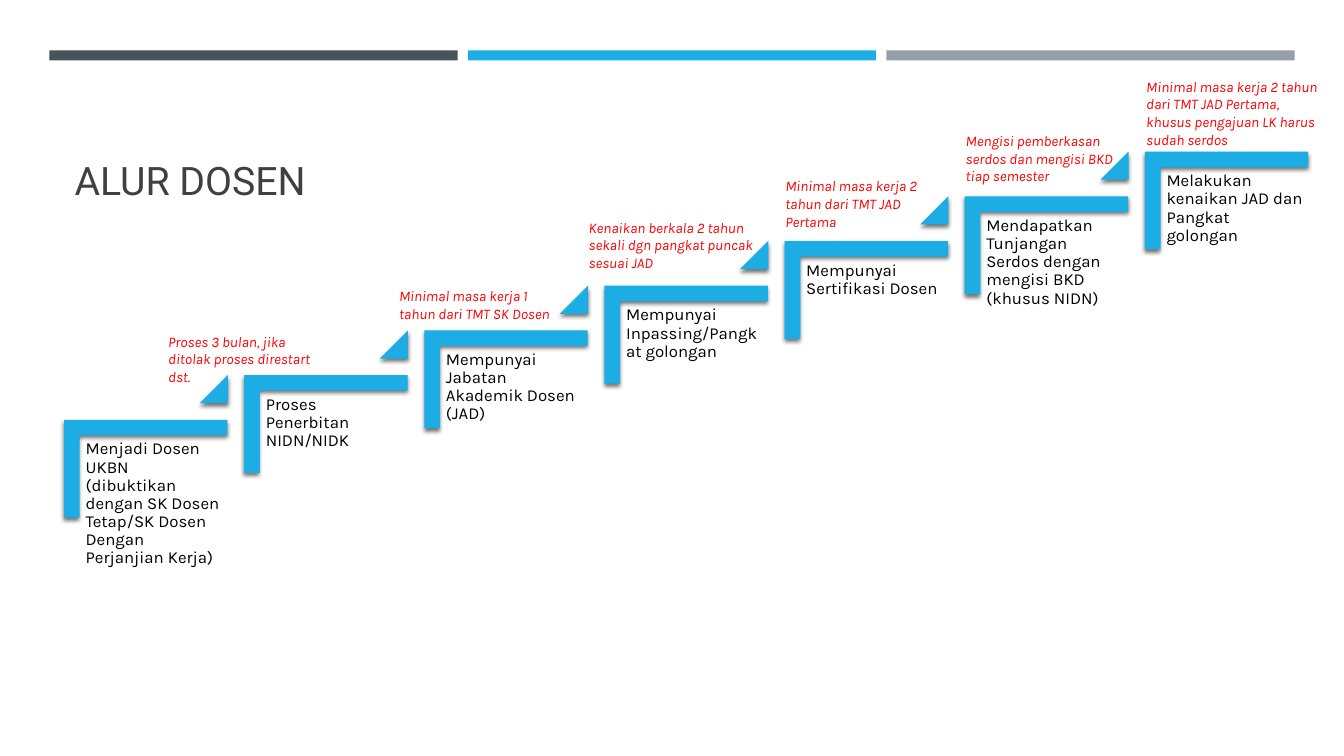
import pptx
import pptx.dml.color
import pptx.enum.shapes
import pptx.enum.text
import pptx.oxml
import pptx.oxml.ns
import pptx.util

Inches = pptx.util.Inches
SHAPE = pptx.enum.shapes.MSO_SHAPE
ANCHOR = pptx.enum.text.MSO_ANCHOR

COLORS = {
    "slate": "465359",
    "blue": "1CADE4",
    "gray": "969FA7",
    "title": "404040",
    "text": "000000",
    "note": "FF0000",
}

SHADOW_XML = (
    f'<a:effectLst {pptx.oxml.ns.nsdecls("a")}>'
    '<a:outerShdw blurRad="38100" dist="25400" dir="5400000" rotWithShape="0">'
    '<a:srgbClr val="000000"><a:alpha val="55000"/></a:srgbClr>'
    '</a:outerShdw></a:effectLst>'
)

STEPS = [
    "Menjadi Dosen UKBN (dibuktikan dengan SK Dosen Tetap/SK Dosen Dengan Perjanjian Kerja)",
    "Proses Penerbitan NIDN/NIDK",
    "Mempunyai Jabatan Akademik Dosen (JAD)",
    "Mempunyai Inpassing/Pangkat golongan",
    "Mempunyai Sertifikasi Dosen",
    "Mendapatkan Tunjangan Serdos dengan mengisi BKD (khusus NIDN)",
    "Melakukan kenaikan JAD dan Pangkat golongan",
]

# Left, top, width, height, wording
NOTES = [
    (1.57, 3.25, 1.67, 0.63, "Proses 3 bulan, jika ditolak proses direstart dst."),
    (3.86, 2.8, 1.86, 0.45, "Minimal masa kerja 1 tahun dari TMT SK Dosen"),
    (5.74, 2.12, 1.86, 0.63, "Kenaikan berkala 2 tahun sekali dgn pangkat puncak sesuai JAD"),
    (7.69, 1.71, 1.86, 0.63, "Minimal masa kerja 2 tahun dari TMT JAD Pertama"),
    (9.48, 1.26, 1.86, 0.63, "Mengisi pemberkasan serdos dan mengisi BKD tiap semester"),
    (11.27, 0.72, 1.95, 0.81,
     "Minimal masa kerja 2 tahun dari TMT JAD Pertama, khusus pengajuan LK harus sudah serdos"),
]


class SlideBuilder:
    def __init__(self, page):
        self.page = page
        self.title_font = "Roboto"
        self.body_font = "Karla"

    def color(self, name):
        return pptx.dml.color.RGBColor.from_string(COLORS[name])

    def add_span(self, para, text, size, font, color, italic=False):
        para.alignment = pptx.enum.text.PP_ALIGN.LEFT
        span = para.add_run()
        span.text = text
        span.font.size = pptx.util.Pt(size)
        span.font.name = font
        span.font.italic = italic
        span.font.color.rgb = self.color(color)

    def title(self, text, left, top, width, height):
        box = self.page.shapes.title
        box.left, box.top = Inches(left), Inches(top)
        box.width, box.height = Inches(width), Inches(height)
        frame = box.text_frame
        frame.auto_size = pptx.enum.text.MSO_AUTO_SIZE.NONE
        frame.vertical_anchor = ANCHOR.BOTTOM
        self.add_span(frame.paragraphs[0], text, 28, self.title_font, "title")

    def shape(self, kind, left, top, width, height, color, adjustments=(),
              rotation=0, shadow=False):
        shape = self.page.shapes.add_shape(
            kind, Inches(left), Inches(top), Inches(width), Inches(height))
        shape.shadow.inherit = False
        shape.fill.solid()
        shape.fill.fore_color.rgb = self.color(color)
        shape.line.fill.background()
        shape.rotation = rotation
        for index, value in enumerate(adjustments):
            shape.adjustments[index] = value
        if shadow:
            properties = shape._element.spPr
            empty_effects = properties.find(pptx.oxml.ns.qn("a:effectLst"))
            properties.replace(empty_effects, pptx.oxml.parse_xml(SHADOW_XML))

    def text(self, text, left, top, width, height, size, color,
             italic=False, inset=None, spacing=None):
        box = self.page.shapes.add_textbox(
            Inches(left), Inches(top), Inches(width), Inches(height))
        frame = box.text_frame
        frame.word_wrap = True
        frame.vertical_anchor = ANCHOR.TOP
        if inset is not None:
            frame.margin_left = frame.margin_right = Inches(inset)
            frame.margin_top = frame.margin_bottom = Inches(inset)
        para = frame.paragraphs[0]
        para.line_spacing = spacing
        self.add_span(para, text, size, self.body_font, color, italic)

    def stair(self, text, left, top, has_arrow):
        self.shape(SHAPE.CORNER, left, top, 0.97, 1.62, "blue",
                   (0.16, 0.16), rotation=90, shadow=True)
        self.text(text, left - 0.16, top + 0.48, 1.46, 1.28, 12, "text",
                  inset=0.05, spacing=0.9)
        if has_arrow:
            self.shape(SHAPE.ISOSCELES_TRIANGLE, left + 1.02, top - 0.12,
                       0.28, 0.28, "blue", (1,), shadow=True)


def main():
    deck = pptx.Presentation()
    deck.slide_width, deck.slide_height = Inches(13.33), Inches(7.5)
    page = deck.slides.add_slide(deck.slide_layouts.get_by_name("Title Only"))
    builder = SlideBuilder(page)

    # Band across the top
    for index, color in enumerate(("slate", "blue", "gray")):
        builder.shape(SHAPE.RECTANGLE, 0.49 + 4.15 * index, 0.5, 4.05, 0.1, color)

    builder.title("ALUR DOSEN", 0.64, 0.77, 12.06, 1.3)

    # Rising staircase, evenly spaced from first to last step
    last = len(STEPS) - 1
    run, rise = (11.68 - 0.96) / last, (3.84 - 1.18) / last
    for index, text in enumerate(STEPS):
        builder.stair(text, 0.96 + run * index, 3.84 - rise * index, index < last)

    # Red notes above the steps
    for left, top, width, height, text in NOTES:
        builder.text(text, left, top, width, height, 10.5, "note", italic=True)

    deck.save("out.pptx")


if __name__ == "__main__":
    main()
